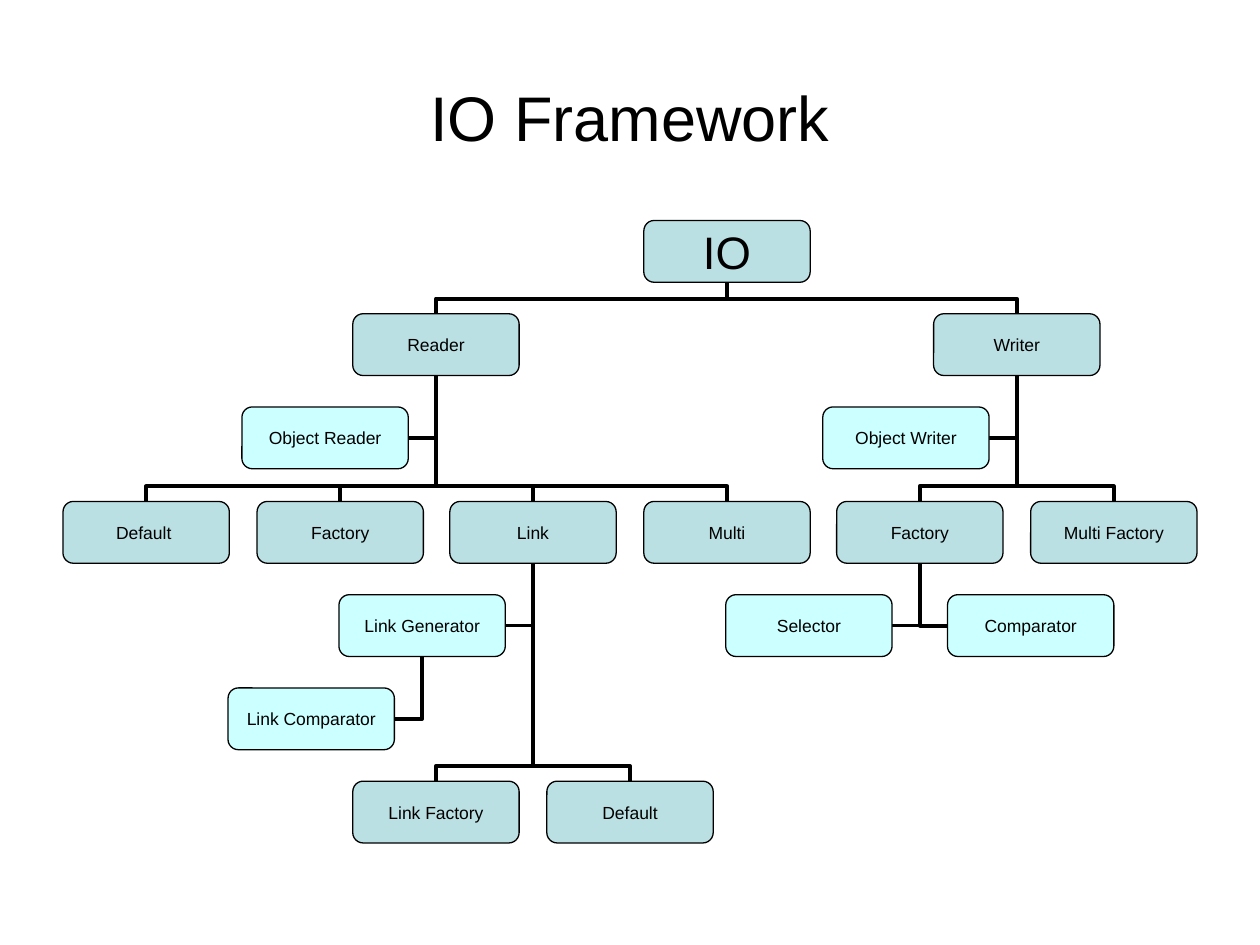
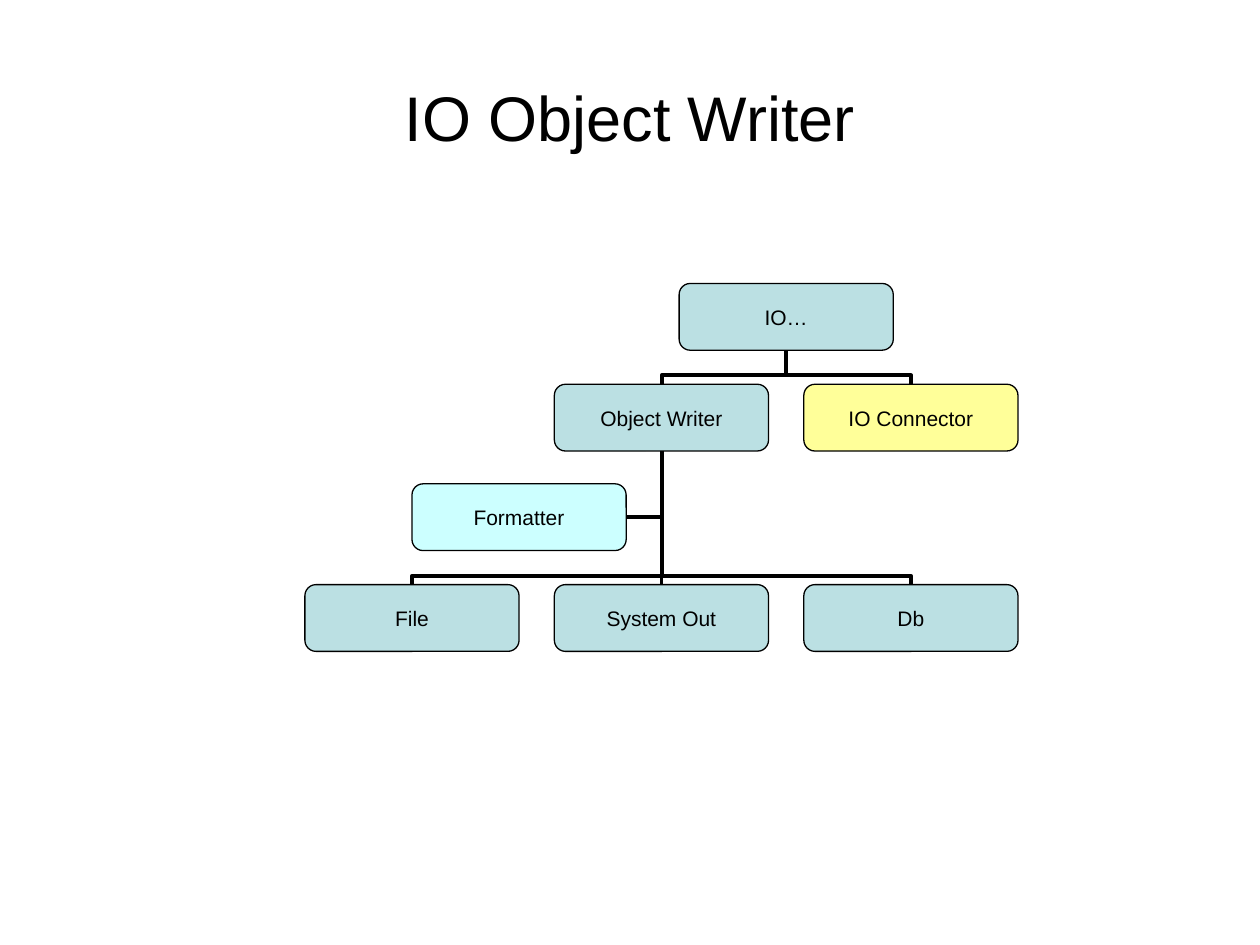
from lxml import etree
from pptx import Presentation
from pptx.dml.color import RGBColor
from pptx.enum.shapes import MSO_CONNECTOR, MSO_SHAPE
from pptx.enum.text import MSO_ANCHOR, PP_ALIGN
from pptx.oxml.ns import qn
from pptx.util import Pt

ELBOW = MSO_CONNECTOR.ELBOW
ROUNDED = MSO_SHAPE.ROUNDED_RECTANGLE
MIDDLE = MSO_ANCHOR.MIDDLE
CENTER = PP_ALIGN.CENTER
TOP, LEFT, BOTTOM, RIGHT = range(4)

PX = 9144  # 100 px to the inch
FONT = "Arial"
COLORS = {
    "text": "000000",
    "line": "000000",
    "main": "BBE0E3",
    "assistant": "CCFFFF",
    "connector": "FFFF99",
}
NO_MARGINS = {"margin_left": 0, "margin_right": 0, "margin_top": 0,
              "margin_bottom": 0, "word_wrap": False}

# Node: key, text, place, row, parent, colour.
# Place is a grid column, or the side of the parent where an assistant hangs.
CHARTS = [
    {
        "title": "IO Framework",
        "box": (132, 49), "origin": (50, 175), "step": (153.6, 74.2),
        "assistant_offset": 88, "stub": 12, "size": 10, "root_size": 26,
        "nodes": [
            ("io", "IO", 3, 0, None, "main"),
            ("reader", "Reader", 1.5, 1, "io", "main"),
            ("writer", "Writer", 4.5, 1, "io", "main"),
            ("object reader", "Object Reader", "left", 2, "reader", "assistant"),
            ("object writer", "Object Writer", "left", 2, "writer", "assistant"),
            ("default reader", "Default ", 0, 3, "reader", "main"),
            ("factory reader", "Factory", 1, 3, "reader", "main"),
            ("link", "Link", 2, 3, "reader", "main"),
            ("multi", "Multi", 3, 3, "reader", "main"),
            ("factory writer", "Factory", 4, 3, "writer", "main"),
            ("multi factory", "Multi Factory", 5, 3, "writer", "main"),
            ("generator", "Link Generator", "left", 4, "link", "assistant"),
            ("selector", "Selector", "left", 4, "factory writer", "assistant"),
            ("comparator", "Comparator", "right", 4, "factory writer", "assistant"),
            ("link comparator", "Link Comparator", "left", 5, "generator", "assistant"),
            ("link factory", "Link Factory", 1.5, 6, "link", "main"),
            ("default link", "Default", 2.5, 6, "link", "main"),
        ],
    },
    {
        "title": "IO Object Writer",
        "box": (170, 53), "origin": (242, 225), "step": (198, 79.6),
        "assistant_offset": 113, "stub": 7, "size": 12, "root_size": 12,
        "nodes": [
            ("io", "IO…", 1.5, 0, None, "main"),
            ("object writer", "Object Writer", 1, 1, "io", "main"),
            ("io connector", "IO Connector", 2, 1, "io", "connector"),
            ("formatter", "Formatter", "left", 2, "object writer", "assistant"),
            ("file", "File", 0, 3, "object writer", "main"),
            ("system out", "System Out", 1, 3, "object writer", "main"),
            ("db", "Db", 2, 3, "object writer", "main"),
        ],
    },
]


def write_text(shape, text, size):
    frame = shape.text_frame
    frame.vertical_anchor = MIDDLE
    paragraph = frame.paragraphs[0]
    paragraph.alignment = CENTER
    run = paragraph.add_run()
    run.text = text
    run.font.name = FONT
    run.font.size = Pt(size)
    run.font.color.rgb = RGBColor.from_string(COLORS["text"])


def join_to_parent(slide, child, parent, place, stub):
    """Draw an elbow from the child to the bottom of its parent, behind the boxes."""
    parent_x = parent.left + parent.width // 2
    parent_y = parent.top + parent.height
    if place in ("left", "right"):
        child_site = RIGHT if place == "left" else LEFT
        child_x = child.left + (child.width if place == "left" else 0)
        child_y = child.top + child.height // 2
        preset = "bentConnector2"
        turn = {"flipV": "1"} if place == "left" else {"rot": "10800000"}
        width, height = abs(child_x - parent_x), child_y - parent_y
    else:
        child_site = TOP
        child_x, child_y = child.left + child.width // 2, child.top
        preset = "bentConnector3"
        if child_x < parent_x:
            turn = {"rot": "5400000", "flipH": "1", "flipV": "1"}
        else:
            turn = {"rot": "16200000", "flipV": "1"}
        # The frame is turned by a quarter, so its sides are swapped.
        width, height = child_y - parent_y, abs(child_x - parent_x)

    connector = slide.shapes.add_connector(ELBOW, 0, 0, 0, 0)
    connector.begin_connect(child, child_site)
    connector.end_connect(parent, BOTTOM)
    frame = {"left": (child_x + parent_x - width) // 2,
             "top": (child_y + parent_y - height) // 2,
             "width": width, "height": height}
    for name, value in frame.items():
        setattr(connector, name, value)
    connector.line.color.rgb = RGBColor.from_string(COLORS["line"])
    connector.line.width = Pt(2.25)

    properties = connector.element.spPr
    transform = properties.find(qn("a:xfrm"))
    for name in ("rot", "flipH", "flipV"):
        transform.attrib.pop(name, None)
    for name, value in turn.items():
        transform.set(name, value)
    geometry = properties.find(qn("a:prstGeom"))
    geometry.set("prst", preset)
    if preset == "bentConnector3":
        share = round(100000 * stub * PX / width)
        etree.SubElement(geometry.find(qn("a:avLst")), qn("a:gd"),
                         name="adj1", fmla=f"val {share}")
    etree.SubElement(properties, qn("a:effectLst"))
    slide.shapes.element.insert(2, connector.element)


presentation = Presentation()
presentation.slide_width = 1000 * PX
presentation.slide_height = 750 * PX
blank_layout = presentation.slide_layouts[6]

for chart in CHARTS:
    slide = presentation.slides.add_slide(blank_layout)
    title = slide.shapes.add_textbox(50 * PX, 30 * PX, 900 * PX, 125 * PX)
    title.text_frame.word_wrap = True
    write_text(title, chart["title"], 36)

    box_width, box_height = chart["box"]
    left_origin, top_origin = chart["origin"]
    column_step, row_step = chart["step"]
    boxes = {}
    for key, text, place, row, parent, color in chart["nodes"]:
        if place == "left":
            left = boxes[parent].left - chart["assistant_offset"] * PX
        elif place == "right":
            left = boxes[parent].left + chart["assistant_offset"] * PX
        else:
            left = round(left_origin + place * column_step) * PX
        top = round(top_origin + row * row_step) * PX
        box = slide.shapes.add_shape(ROUNDED, left, top, box_width * PX, box_height * PX)
        box.shadow.inherit = False
        box.fill.solid()
        box.fill.fore_color.rgb = RGBColor.from_string(COLORS[color])
        box.line.color.rgb = RGBColor.from_string(COLORS["line"])
        box.line.width = Pt(0.75)
        for name, value in NO_MARGINS.items():
            setattr(box.text_frame, name, value)
        write_text(box, text, chart["size"] if parent else chart["root_size"])
        boxes[key] = box

    for key, text, place, row, parent, color in chart["nodes"]:
        if parent:
            join_to_parent(slide, boxes[key], boxes[parent], place, chart["stub"])

presentation.save("out.pptx")
